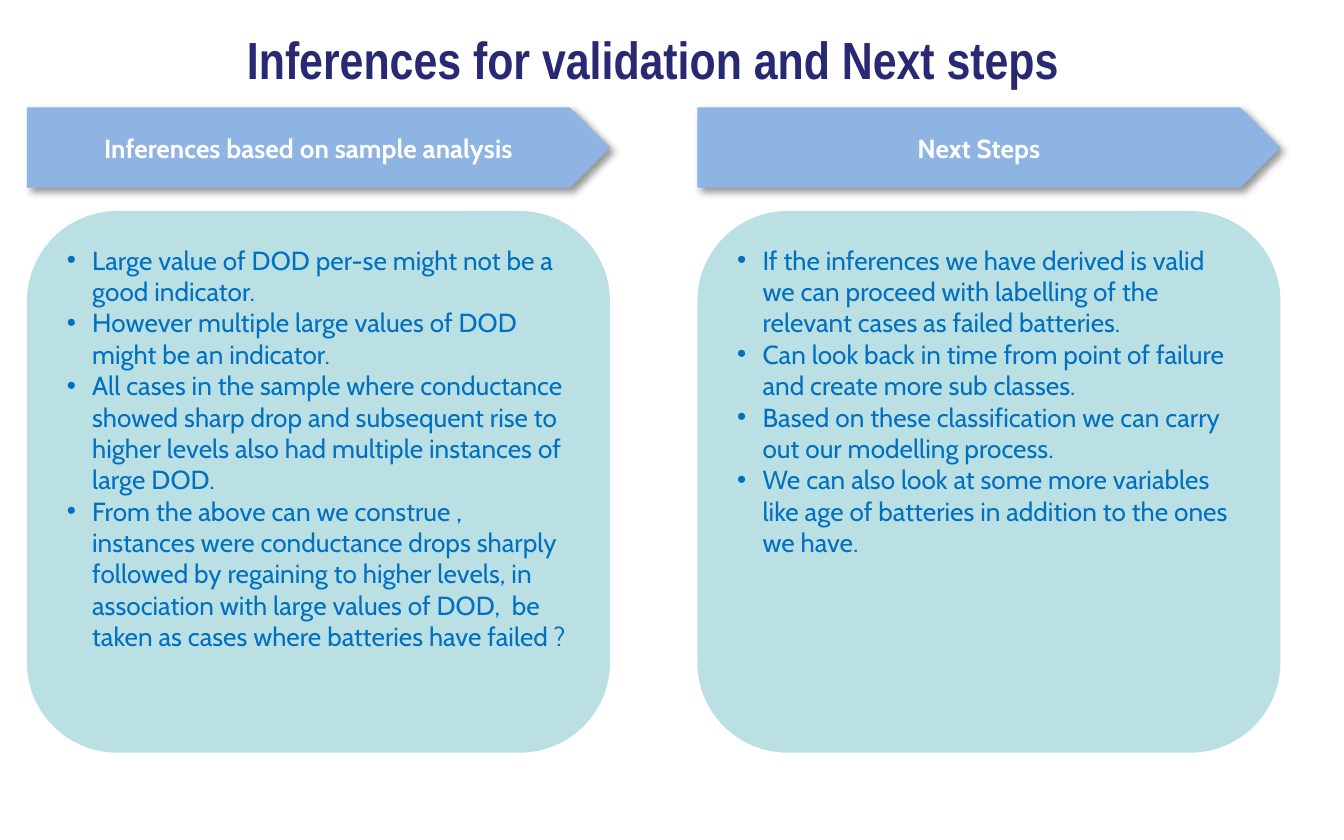
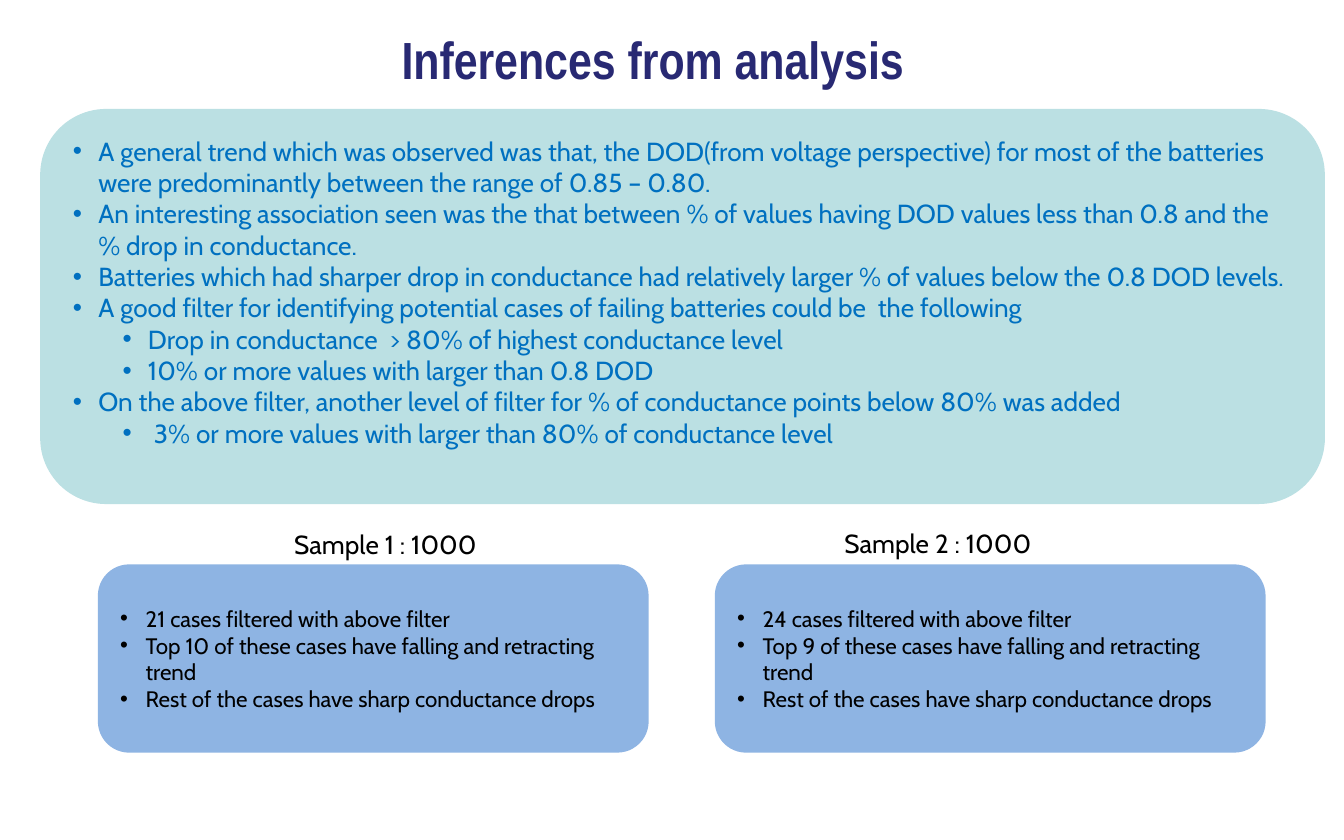
from lxml import etree
from pptx import Presentation
from pptx import util as u
from pptx.dml.color import RGBColor
from pptx.enum import shapes, text
from pptx.oxml import ns, parse_xml

NAVY, BLUE, SKY, AQUA = "282973", "0070C0", "8EB4E3", "BBE0E3"
WHITE, BLACK = "FFFFFF", "000000"
HANG = 0.48
STEP = 0.94

HEAD = {"name": "Arial Narrow", "size": u.Pt(28), "bold": True}
BAND = {"name": "Cabin", "size": u.Pt(14), "bold": True}
BODY = {"name": "Cabin", "size": u.Pt(14), "bold": False}
SMALL = {"name": "Cabin", "size": u.Pt(12), "bold": False}

PLANS = [
    ("Inferences based on sample analysis", [
        "Large value of DOD per-se might not be a good indicator.",
        "However multiple large values of DOD might be an indicator.",
        "All cases in the sample where conductance showed sharp drop and "
        "subsequent rise to higher levels also had multiple instances of large DOD.",
        "From the above can we construe , instances were conductance drops sharply "
        "followed by regaining to higher levels, in association with large values "
        "of DOD,  be taken as cases where batteries have failed ?",
    ]),
    ("Next Steps", [
        "If the inferences we have derived is valid we can proceed with labelling "
        "of the relevant cases as failed batteries.",
        "Can look back in time from point of failure and create more sub classes.",
        "Based on these classification we can carry out our modelling process.",
        "We can also look at some more variables like age of batteries in addition "
        "to the ones we have.",
    ]),
]

TRENDS = [
    "A general trend which was observed was that, the DOD(from voltage perspective) "
    "for most of the batteries were predominantly between the range of 0.85 – 0.80.",
    "An interesting association seen was the that between % of values having DOD "
    "values less than 0.8 and the % drop in conductance.",
    "Batteries which had sharper drop in conductance had relatively larger % of "
    "values below the 0.8 DOD levels.",
    "A good filter for identifying potential cases of failing batteries could be  "
    "the following",
    (1, "Drop in conductance  > 80% of highest conductance level"),
    (1, "10% or more values with larger than 0.8 DOD"),
    "On the above filter, another level of filter for % of conductance points below "
    "80% was added",
    (1, " 3% or more values with larger than 80% of conductance level"),
]

CASES = [("Sample 1 : 1000", 21, 10, 4.01, 9.86),
         ("Sample 2 : 1000", 24, 9, 14.45, 9.83)]


def tint(code):
    """Return the colour for a hex string."""
    return RGBColor.from_string(code)


def place(shape, box):
    """Move and size a shape by a box in centimetres."""
    for key, val in zip(("left", "top", "width", "height"), box):
        setattr(shape, key, u.Cm(val))


def style(para, form, ink):
    """Apply a dict of font values and a colour to each run."""
    for run in para.runs:
        for key, val in form.items():
            setattr(run.font, key, val)
        run.font.color.rgb = tint(ink)


def indent(para, left):
    """Give a paragraph a left margin and a hanging first line."""
    props = para._p.get_or_add_pPr()
    hang = HANG if left >= HANG else left
    props.set("marL", str(u.Cm(left)))
    props.set("indent", str(-u.Cm(hang)))
    return props


def write(shape, words, form, ink):
    """Write one centred line in a shape."""
    frame = shape.text_frame
    frame.word_wrap = True
    frame.vertical_anchor = text.MSO_ANCHOR.MIDDLE
    para = frame.paragraphs[0]
    para.text = words
    para.alignment = text.PP_ALIGN.CENTER
    style(para, form, ink)
    return para


def bullets(shape, items, form, ink, anchor):
    """Write a bulleted list of plain lines or (level, line) pairs."""
    frame = shape.text_frame
    frame.word_wrap = True
    frame.auto_size = text.MSO_AUTO_SIZE.NONE
    frame.vertical_anchor = anchor
    for num, item in enumerate(items):
        level, words = item if isinstance(item, tuple) else (0, item)
        para = frame.add_paragraph() if num else frame.paragraphs[0]
        para.text = words
        para.level = level
        para.alignment = text.PP_ALIGN.LEFT
        para.space_before = u.Pt(0)
        props = indent(para, HANG + level * STEP)
        etree.SubElement(props, ns.qn("a:buFont")).set("typeface", "Arial")
        etree.SubElement(props, ns.qn("a:buChar")).set("char", "•")
        style(para, form, ink)


def paint(shape, fill):
    """Fill a shape and hide its outline."""
    shape.fill.solid()
    shape.fill.fore_color.rgb = tint(fill)
    shape.line.fill.background()


def block(slide, kind, box, fill):
    """Add a flat preset shape."""
    shape = slide.shapes.add_shape(kind, *map(u.Cm, box))
    shape.shadow.inherit = False
    paint(shape, fill)
    return shape


def panel(slide, slot, box, items):
    """Turn a body placeholder into a rounded panel with a list."""
    shape = slide.placeholders[slot]
    place(shape, box)
    geom = parse_xml(f'<a:prstGeom {ns.nsdecls("a")} prst="roundRect"><a:avLst/></a:prstGeom>')
    shape._element.spPr.find(ns.qn("a:xfrm")).addnext(geom)
    paint(shape, AQUA)
    bullets(shape, items, BODY, BLUE, text.MSO_ANCHOR.TOP)


def banner(slide, box, words):
    """Add an arrow band with a soft shadow."""
    shape = block(slide, shapes.MSO_SHAPE.PENTAGON, box, SKY)
    glow = shape._element.spPr.find(ns.qn("a:effectLst"))
    glow.append(parse_xml(
        f'<a:outerShdw {ns.nsdecls("a")} blurRad="{u.Pt(4)}" dist="{u.Pt(3)}" '
        f'dir="2700000" algn="tl" rotWithShape="0"><a:srgbClr val="{BLACK}">'
        '<a:alpha val="40000"/></a:srgbClr></a:outerShdw>'))
    write(shape, words, BAND, WHITE)


def label(slide, box, words):
    """Add a centred caption."""
    shape = slide.shapes.add_textbox(*map(u.Cm, box))
    write(shape, words, BODY, BLACK)
    shape.text_frame.auto_size = text.MSO_AUTO_SIZE.SHAPE_TO_FIT_TEXT


def start(deck, words):
    """Add a slide with its title."""
    slide = deck.slides.add_slide(deck.slide_layouts.get_by_name("Comparison"))
    title = slide.shapes.title
    place(title, (1.14, 0.41, 22.61, 1.4))
    title.text_frame.auto_size = text.MSO_AUTO_SIZE.NONE
    indent(write(title, words, HEAD, NAVY), 0.23)
    return slide


def prune(slide):
    """Remove the placeholders left empty."""
    for spare in list(slide.placeholders):
        if not spare.text_frame.text:
            spare._element.getparent().remove(spare._element)


def main():
    """Build both slides and save the deck."""
    deck = Presentation()
    deck.slide_width, deck.slide_height = u.Cm(25.4), u.Cm(15.88)

    slide = start(deck, "Inferences for validation and Next steps ")
    for col, (head, items) in enumerate(PLANS):
        left = 0.51 + col * 12.67
        banner(slide, (left, 2.03, 11.02, 1.52), head)
        panel(slide, 1 + 2 * col, (left, 3.99, 11.02, 10.24), items)
    prune(slide)

    slide = start(deck, "Inferences from analysis ")
    panel(slide, 1, (0.76, 2.06, 24.28, 7.47), TRENDS)
    for col, (head, count, top, left, high) in enumerate(CASES):
        card = block(slide, shapes.MSO_SHAPE.ROUNDED_RECTANGLE,
                     (1.85 + col * 11.66, 10.67, 10.41, 3.56), SKY)
        lines = [f"{count} cases filtered with above filter",
                 f"Top {top} of these cases have falling and retracting trend",
                 "Rest of the cases have sharp conductance drops"]
        bullets(card, lines, SMALL, BLACK, text.MSO_ANCHOR.MIDDLE)
        label(slide, (left, high, 6.55, 0.86), head)
    prune(slide)

    deck.save("out.pptx")


if __name__ == "__main__":
    main()
